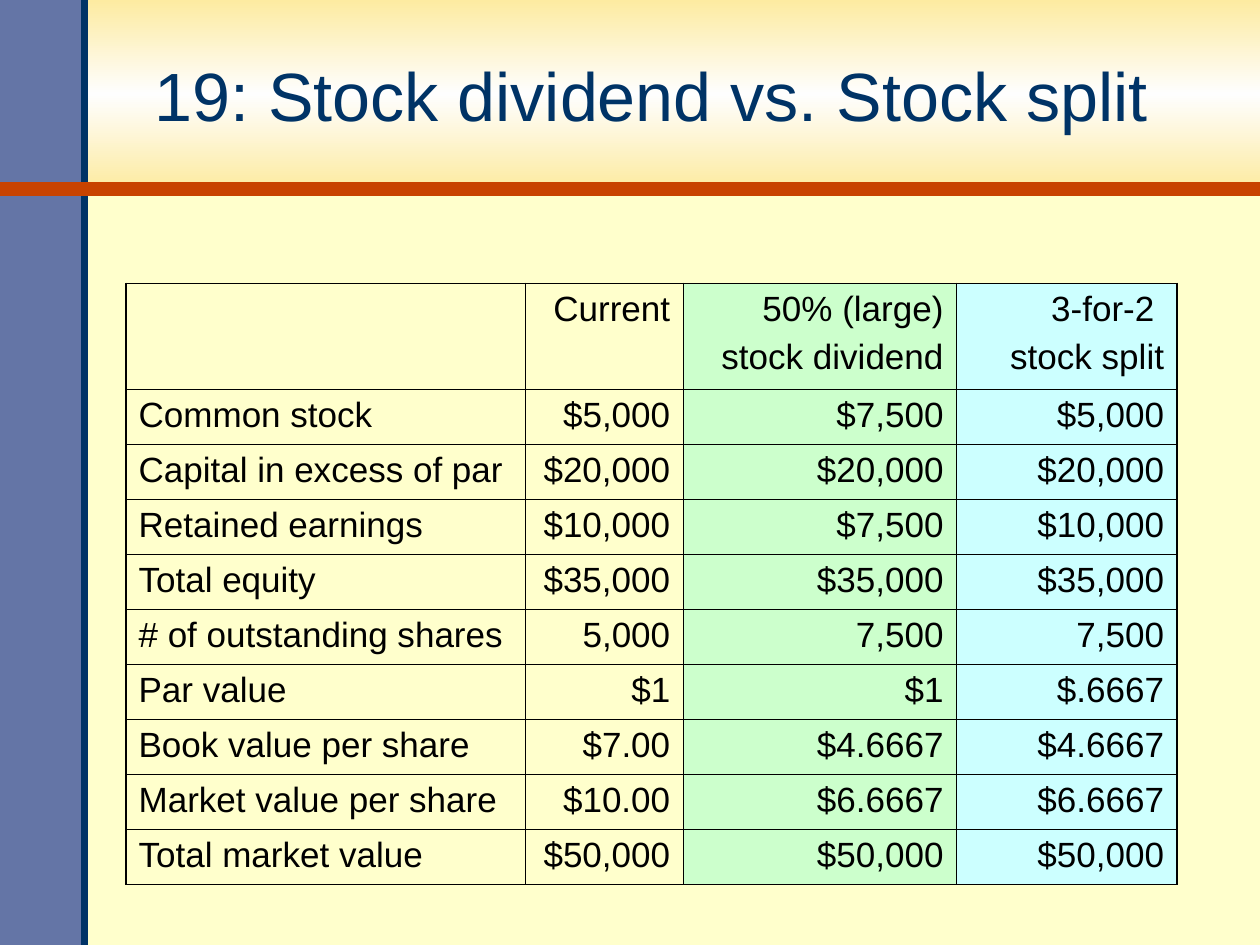
from copy import deepcopy

from lxml.etree import SubElement
from pptx import Presentation
from pptx.dml.color import RGBColor
from pptx.enum.shapes import MSO_CONNECTOR as CONN, MSO_SHAPE as SHAPE
from pptx.enum.text import MSO_ANCHOR as ANCHOR, PP_ALIGN as ALIGN
from pptx.oxml.ns import qn
from pptx.util import Inches, Pt

NAVY = "003366"
BLACK = "000000"
OUTER, INNER = 1.08, 0.45  # table border widths in points


def rgb(color):
    return RGBColor.from_string(color)


def add_run(p, text, size, color):
    r = p.add_run()
    r.text = text
    r.font.name = "Arial"
    r.font.size = Pt(size)
    r.font.color.rgb = rgb(color)


prs = Presentation()
prs.slide_width, prs.slide_height = W, H = Inches(10), Inches(7.5)
s = prs.slides.add_slide(prs.slide_layouts[6])
s.background.fill.solid()
s.background.fill.fore_color.rgb = rgb("FFFFCC")

# Title band and sidebar
band_h, side_w = int(H * 0.2), Inches(0.67)
band = s.shapes.add_shape(SHAPE.RECTANGLE, 0, 0, W, band_h)
side = s.shapes.add_shape(SHAPE.RECTANGLE, 0, 0, side_w, H)
for sp in (band, side):
    sp.shadow.inherit = False
    sp.line.fill.background()
side.fill.solid()
side.fill.fore_color.rgb = rgb("6475A6")

band.fill.gradient()
band.fill.gradient_angle = 90
stop_list = band._element.spPr.find(qn("a:gradFill")).find(qn("a:gsLst"))
stop_list.append(deepcopy(stop_list[0]))
for stop, position, color in zip(band.fill.gradient_stops, (0, 0.5, 1),
                                 ("FDEBA1", "FEFEFE", "FDEBA1")):
    stop.position = position
    stop.color.rgb = rgb(color)

# Rules beside the sidebar and under the title
for x1, y1, x2, y2, color, width in (
    (side_w, H, side_w, 0, NAVY, 4),
    (0, band_h, W, band_h, "C84300", 8),
):
    rule = s.shapes.add_connector(CONN.STRAIGHT, x1, y1, x2, y2)
    rule.line.color.rgb = rgb(color)
    rule.line.width = Pt(width)
    SubElement(rule._element.spPr, qn("a:effectLst"))

# Title
title = s.shapes.add_textbox(Inches(0.65), int(H * 0.02), Inches(9.04), int(H * 0.16))
tf = title.text_frame
tf.word_wrap = True
tf.vertical_anchor = ANCHOR.MIDDLE
p = tf.paragraphs[0]
p.alignment = ALIGN.CENTER
add_run(p, "19: Stock dividend vs. Stock split", 39, NAVY)

# Comparison table
rows = [
    ("", "Current", "50% (large)\nstock dividend", "3-for-2 \nstock split"),
    ("Common stock", "$5,000", "$7,500", "$5,000"),
    ("Capital in excess of par", "$20,000", "$20,000", "$20,000"),
    ("Retained earnings", "$10,000", "$7,500", "$10,000"),
    ("Total equity", "$35,000", "$35,000", "$35,000"),
    ("# of outstanding shares", "5,000", "7,500", "7,500"),
    ("Par value", "$1", "$1", "$.6667"),
    ("Book value per share", "$7.00", "$4.6667", "$4.6667"),
    ("Market value per share", "$10.00", "$6.6667", "$6.6667"),
    ("Total market value", "$50,000", "$50,000", "$50,000"),
]
col_widths = (3.17, 1.25, 2.17, 1.75)
col_fills = (None, None, "CCFFCC", "CCFFFF")
table_h, header_h = 4.77, 0.84
body_h = (table_h - header_h) / (len(rows) - 1)
last_row, last_col = len(rows) - 1, len(col_widths) - 1

table = s.shapes.add_table(len(rows), len(col_widths), int(W * 0.1), int(H * 0.3),
                           Inches(sum(col_widths)), Inches(table_h)).table
table.first_row = table.horz_banding = False
for column, width in zip(table.columns, col_widths):
    column.width = Inches(width)

for i, values in enumerate(rows):
    table.rows[i].height = Inches(body_h if i else header_h)
    for j, text in enumerate(values):
        cell = table.cell(i, j)

        # Borders come before the fill in the cell properties
        tc_pr = cell._tc.get_or_add_tcPr()
        for side_tag, is_outer in (("a:lnL", j == 0), ("a:lnR", j == last_col),
                                   ("a:lnT", i == 0), ("a:lnB", i == last_row)):
            ln = SubElement(tc_pr, qn(side_tag), w=str(Pt(OUTER if is_outer else INNER)))
            SubElement(SubElement(ln, qn("a:solidFill")), qn("a:srgbClr"), val=BLACK)

        if col_fills[j]:
            cell.fill.solid()
            cell.fill.fore_color.rgb = rgb(col_fills[j])
        else:
            cell.fill.background()

        if not text:
            continue
        tf = cell.text_frame
        for k, line in enumerate(text.split("\n")):
            p = tf.add_paragraph() if k else tf.paragraphs[0]
            p.alignment = ALIGN.RIGHT if j else ALIGN.LEFT
            if k:
                p.space_before = Pt(5)
            add_run(p, line, 20, BLACK)

prs.save("out.pptx")
